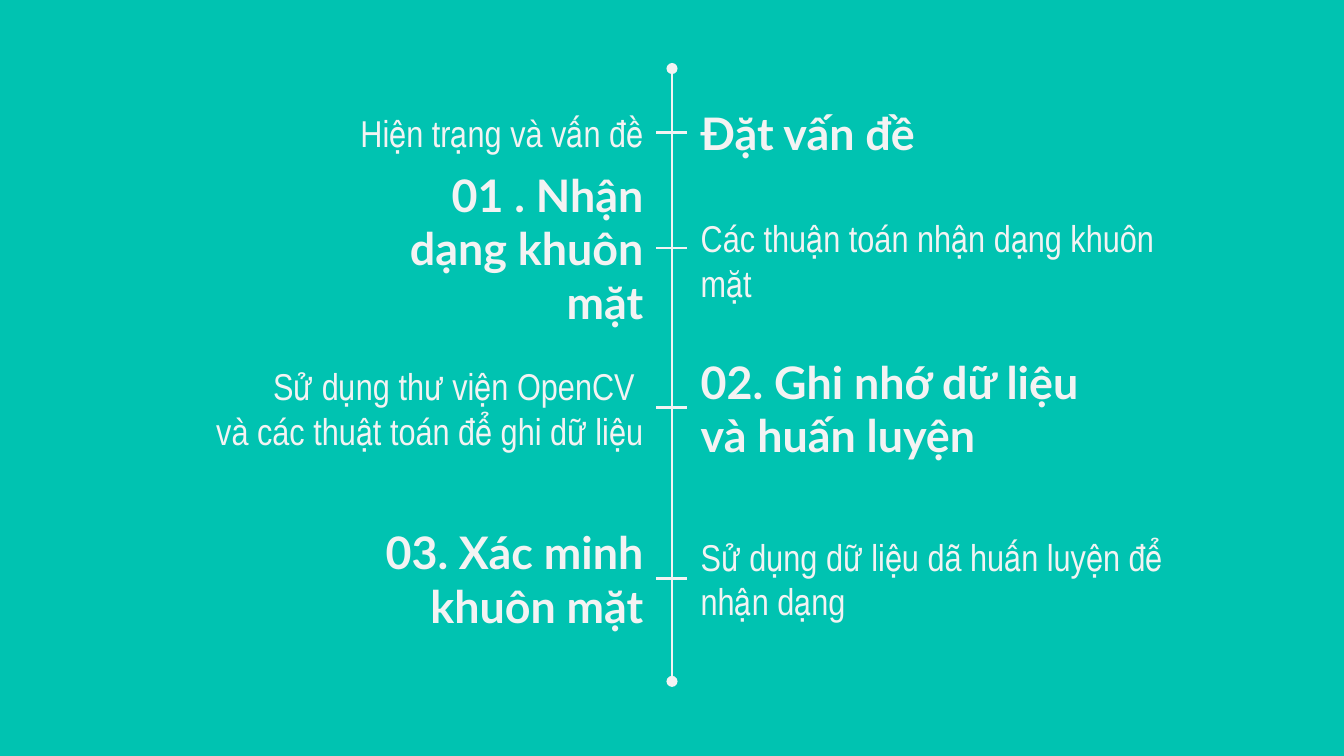
from lxml import etree
from pptx import Presentation
from pptx import util as u
from pptx.dml.color import RGBColor
from pptx.enum import shapes, text
from pptx.oxml.ns import qn

TEAL = RGBColor(0x00, 0xC3, 0xB1)
PALE = RGBColor(0xF3, 0xF3, 0xF3)

WIDE = 10
HIGH = WIDE * 9 / 16
AXIS = WIDE / 2
GAP = 0.115  # from the axis to the texts, and half a tick
ROW = 0.69   # height of a row

# Each row: top, left text, right text; a text is (width, is heading, lines)
ROWS = [
    (0.64, (2.57, False, ["Hiện trạng và vấn đề"]),
     (2.26, True, ["Đặt vấn đề"])),
    (1.5, (2.26, True, ["01 . Nhận dạng khuôn mặt"]),
     (3.65, False, ["Các thuận toán nhận dạng khuôn mặt"])),
    (2.69, (3.89, False, ["Sử dụng thư viện OpenCV ",
                          "và các thuật toán để ghi dữ liệu"]),
     (3.78, True, ["02. Ghi nhớ dữ liệu", "và huấn luyện"])),
    (3.96, (2.26, True, ["03. Xác minh khuôn mặt"]),
     (3.78, False, ["Sử dụng dữ liệu dã huấn luyện để nhận dạng"])),
]


def add_line(slide, x1, y1, x2, y2, dots=False):
    line = slide.shapes.add_connector(
        shapes.MSO_CONNECTOR.STRAIGHT, *map(u.Inches, (x1, y1, x2, y2)))
    line.line.color.rgb = PALE
    line.line.width = u.Pt(1.5)
    props = line._element.spPr
    if dots:
        for end in ("a:headEnd", "a:tailEnd"):
            etree.SubElement(props.find(qn("a:ln")), qn(end), type="oval")
    etree.SubElement(props, qn("a:effectLst"))


def add_text(slide, left, top, item, align, anchor):
    width, bold, lines = item
    box = slide.shapes.add_textbox(*map(u.Inches, (left, top, width, ROW)))
    frame = box.text_frame
    frame.word_wrap = True
    frame.vertical_anchor = anchor
    frame.margin_left = frame.margin_right = u.Inches(0.1)
    frame.margin_top = frame.margin_bottom = u.Inches(0.1)
    frame.text = "\n".join(lines)
    for para in frame.paragraphs:
        para.alignment = align
        font = para.font
        font.name = "Lato" if bold else "Arial Narrow"
        font.size = u.Pt(24 if bold else 20)
        font.bold = bold
        font.color.rgb = PALE


def add_row(slide, top, left, right, anchor):
    add_text(slide, AXIS - GAP - left[0], top, left,
             text.PP_ALIGN.RIGHT, text.MSO_ANCHOR.MIDDLE)
    add_text(slide, AXIS + GAP, top, right, text.PP_ALIGN.LEFT, anchor)
    mid = top + ROW / 2
    add_line(slide, AXIS - GAP, mid, AXIS + GAP, mid)


def main():
    deck = Presentation()
    deck.slide_width, deck.slide_height = u.Inches(WIDE), u.Inches(HIGH)
    slide = deck.slides.add_slide(deck.slide_layouts[6])
    slide.background.fill.solid()
    slide.background.fill.fore_color.rgb = TEAL

    # Timeline axis
    add_line(slide, AXIS, 0.51, AXIS, 5.07, dots=True)

    # Rows; the text right of the second tick hangs from its top
    for num, (top, left, right) in enumerate(ROWS):
        anchor = text.MSO_ANCHOR.TOP if num == 1 else text.MSO_ANCHOR.MIDDLE
        add_row(slide, top, left, right, anchor)

    deck.save("out.pptx")


if __name__ == "__main__":
    main()
